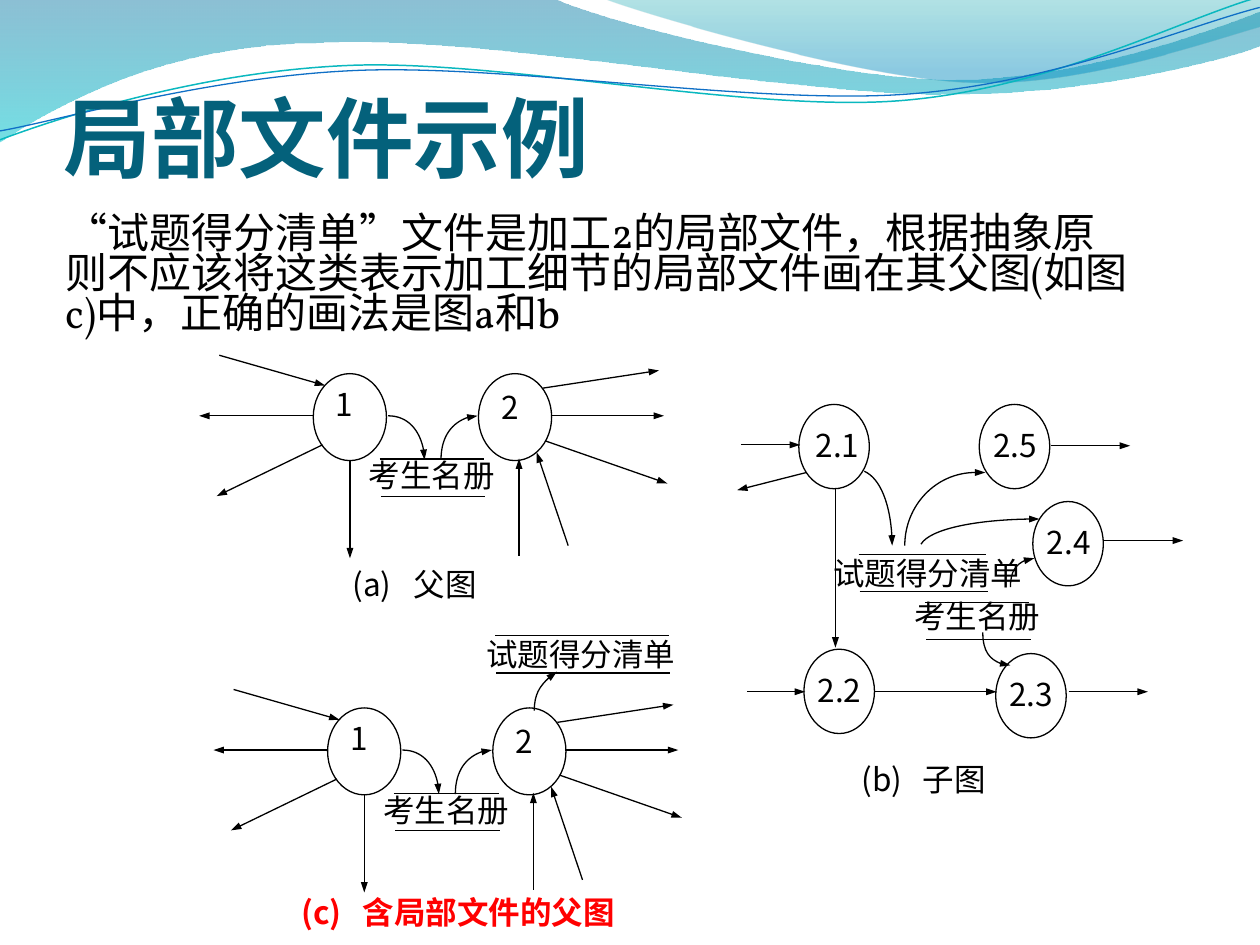
from math import cos, radians, sin

from lxml.etree import SubElement
from pptx import Presentation
from pptx.dml.color import RGBColor
from pptx.enum.shapes import MSO_CONNECTOR as Connector, MSO_SHAPE as Shape
from pptx.enum.text import MSO_ANCHOR as Anchor, PP_ALIGN as Align
from pptx.oxml.ns import qn
from pptx.util import Pt

SANS = "Noto Sans CJK SC"


def color(value):
    return RGBColor.from_string(value)


def assign(target, values):
    for name, value in values.items():
        setattr(target, name, value)


def cubics(points):
    """Split a chain into its start and groups of two handles and an end."""
    return [points[:1]] + [points[i:i + 3] for i in range(1, len(points), 3)]


def rotate(points, angle):
    """Turn points clockwise about the middle of their bounds."""
    xs, ys = zip(*points)
    cx, cy = (min(xs) + max(xs)) / 2, (min(ys) + max(ys)) / 2
    c, s = cos(radians(angle)), sin(radians(angle))
    return [(cx + (x - cx) * c - (y - cy) * s, cy + (x - cx) * s + (y - cy) * c)
            for x, y in points]


class Sketch:
    ink = "000000"
    weight = 0.75
    size = 18

    def __init__(self, slide):
        self.shapes = slide.shapes

    def stroke(self, shape, ink=None, weight=None, arrow=False):
        shape.line.color.rgb = color(ink or self.ink)
        shape.line.width = Pt(weight or self.weight)
        if arrow:
            SubElement(shape.line._get_or_add_ln(), qn("a:tailEnd"),
                       type="triangle", w="sm", len="med")

    def line(self, start, end, arrow=True):
        connector = self.shapes.add_connector(
            Connector.STRAIGHT, *(Pt(v) for v in (*start, *end)))
        self.stroke(connector, arrow=arrow)
        SubElement(connector._element.spPr, qn("a:effectLst"))

    def outline(self, pieces, close):
        """Pieces of one point are straight, pieces of three are cubic."""
        points = [(Pt(x), Pt(y)) for piece in pieces for x, y in piece]
        builder = self.shapes.build_freeform(*points[0], scale=1.0)
        builder.add_line_segments(points[1:], close=close)
        shape = builder.convert_to_shape()
        shape.shadow.inherit = False
        steps = iter(list(shape._element.iter(qn("a:lnTo"))))
        for piece in pieces[1:]:
            group = [next(steps) for _ in piece]
            if len(group) == 3:
                bend = group[0].makeelement(qn("a:cubicBezTo"))
                group[0].addprevious(bend)
                for step in group:
                    bend.append(step[0])
                    step.getparent().remove(step)
        return shape

    def curve(self, points, ink=None, weight=None, arrow=True, turn=0):
        shape = self.outline(cubics(rotate(points, -turn)), close=False)
        shape.rotation = turn
        shape.fill.background()
        self.stroke(shape, ink, weight, arrow)

    def band(self, pieces, stops):
        shape = self.outline(pieces, close=True)
        shape.line.fill.background()
        shape.fill.gradient()
        shape.fill.gradient_angle = 270
        for stop, (position, tint, opacity) in zip(shape.fill.gradient_stops, stops):
            stop.position = position
            stop.color.rgb = color(tint)
            tint_element = stop._gs.find(qn("a:srgbClr"))
            SubElement(tint_element, qn("a:alpha"), val=str(opacity * 1000))

    def text(self, spans, left, top, width, height, align=Align.LEFT, frame=None,
             spacing=None, tab=None, ink=None, **font):
        """Spans are (text, Latin font) pairs of a single paragraph."""
        box = self.shapes.add_textbox(Pt(left), Pt(top), Pt(width), Pt(height))
        assign(box.text_frame, {"word_wrap": True, **(frame or {})})
        para = box.text_frame.paragraphs[0]
        assign(para, {"alignment": align, "line_spacing": spacing})
        if tab:
            stops = SubElement(para._p.get_or_add_pPr(), qn("a:tabLst"))
            SubElement(stops, qn("a:tab"), pos=str(Pt(tab)), algn="l")
        for words, face in spans:
            span = para.add_run()
            span.text = words
            assign(span.font, {"size": Pt(self.size), "name": face, **font})
            span.font.color.rgb = color(ink or self.ink)
            SubElement(span._r.get_or_add_rPr(), qn("a:ea"), typeface=SANS)

    def process(self, name, left, top, width, height, dx, dy):
        circle = self.shapes.add_shape(
            Shape.OVAL, Pt(left), Pt(top), Pt(width), Pt(height))
        circle.shadow.inherit = False
        circle.fill.background()
        self.stroke(circle)
        self.text([(name, SANS)], left + dx, top + dy, 41.8, 42.5)

    def store(self, name, left, top, length, shift=0, rise=5):
        for x, y in ((left, top), (left + 0.7, top + 21.4)):
            self.line((x, y), (x + length, y), arrow=False)
        width = 18 * len(name) + 30
        self.text([(name, SANS)], left + (length - width) / 2 + shift, top - rise,
                  width, 39.6, Align.CENTER)

    def caption(self, mark, words, left, top, width, **font):
        self.text([(f"({mark})\t{words}", SANS)], left, top, width, 44.6, tab=35, **font)

    def parent(self, dx=0, dy=0):
        """Level diagram with processes 1 and 2 sharing one store."""
        def move(points):
            return [(x + dx, y + dy) for x, y in points]

        for name, left, drop in (("1", 179, 3), ("2", 273.4, 4.4)):
            self.process(name, left + dx, 213.5 + dy, 41.8, 49.7, 5.8, drop)
        for flow in PARENT_FLOWS:
            self.line(*move(flow))
        for flow in PARENT_CURVES:
            self.curve(move(flow))
        self.store("考生名册", 216.9 + dx, 262.3 + dy, 59.8)


PARENT_FLOWS = [
    ((200, 263.5), (200, 319)), ((179.3, 237.6), (113.8, 237.6)),
    ((125.3, 203), (185.8, 220.3)), ((184.3, 254.2), (123.8, 283.5)),
    ((296.6, 317.5), (296.6, 262)), ((324.7, 311.8), (306.7, 258.5)),
    ((314.6, 237.6), (379.4, 237.6)), ((310.3, 221.8), (376.6, 211.7)),
    ((311.8, 252), (381.4, 276.3)),
]
PARENT_CURVES = [
    [(221.8, 237.6), (233.3, 237.6), (242.6, 249.1), (242.6, 262.8)],
    [(252, 262.8), (252, 249.1), (261.4, 237.6), (272.9, 237.6)],
]
CHILD_PROCESSES = [
    ("2.1", 456.5, 231.1, 2.5), ("2.5", 559.6, 231.1, 1), ("2.4", 590.2, 286.6, 1),
    ("2.3", 569, 373.5, 0.7), ("2.2", 459.4, 371, 0.7),
]
CHILD_FLOWS = [
    ((423.4, 254.2), (457.2, 254.2)), ((460.8, 270), (421.2, 280.1)),
    ((477.4, 279.4), (477.4, 370.1)), ((600.5, 254.7), (645.8, 254.7)),
    ((630.7, 308.9), (676.1, 308.9)), ((427, 395.3), (460.1, 395.3)),
    ((499.7, 395.3), (569.5, 395.3)), ((610.6, 395.3), (655.9, 395.3)),
]
CHILD_CURVES = [
    [(493.9, 269.3), (503.3, 273.6), (509.8, 291.6), (509.8, 311.8)],
    [(517, 311.8), (517, 288.7), (535, 270), (557.3, 270), (559.4, 270),
     (560.9, 270), (563, 270)],
    [(526.3, 311), (531.4, 302.4), (559.4, 296.6), (592.6, 296.6), (593.3, 296.6),
     (594, 296.6), (594, 296.6)],
    [(577.4, 335.5), (577.4, 326.2), (583.2, 319), (591.1, 319)],
]

deck = Presentation()
assign(deck, {"slide_width": Pt(720), "slide_height": Pt(540)})
page = deck.slides.add_slide(deck.slide_layouts[6])
sketch = Sketch(page)

# Wave decoration along the top
upper = [(316.8, -0.7), (342.7, 12.2), (478.1, 45.4), (545.8, 45.4),
         (614.2, 45.4), (689.8, 18.7), (720, 6.5)]
lower = [(720.7, 25.9), (707.8, 31.7), (626.4, 54.7), (537.1, 54), (447.8, 54),
         (275, 20.2), (185, 24.5), (92.9, 25.2), (33.1, 59.8), (-0.7, 81.4)]
sketch.band([[(0, -0.7)]] + cubics(upper) + cubics(lower),
            [(0, "0074A1", 45), (1, "00C6CF", 55)])
corner = [(344.9, -0.7), (366.5, 7.9), (491, 44.6), (553.7, 46.8),
          (616.3, 49.7), (691.9, 23), (720, 15.1)]
sketch.band(cubics(corner) + [[(720, 0)]], [(0, "00A1A9", 30), (0.8, "008BBF", 45)])
sketch.curve([(0, 79.9), (34.6, 67), (113.8, 41), (199.4, 37.4), (284.4, 33.8),
              (427, 64.1), (513.4, 57.6), (599.8, 51.1), (675.4, 10.8), (718.6, -1.4)],
             "0AB8BF", 0.85, arrow=False, turn=357.3)
sketch.curve([(0, 74.9), (33.8, 69.1), (118.1, 43.9), (203.8, 40.3), (290.2, 36.7),
              (429.8, 59.8), (516.2, 54), (601.9, 48.2), (677.5, 15.1), (720, 4.3)],
             "0F6FC6", 0.75, arrow=False, turn=357.3)

# Title and explanation
sketch.text([("局部文件示例", SANS)], 36.4, 18, 648, 90, ink="04617B", size=Pt(50), bold=True,
            frame={"vertical_anchor": Anchor.BOTTOM, "margin_left": 0,
                   "margin_right": 0, "margin_bottom": 0})
sketch.text([("“", "Arial"), ("试题得分清单", "Vollkorn"), ("”", "Arial"),
             ("文件是加工2的局部文件，根据抽象原则不应该将这类表示加工细节的局部文件"
              "画在其父图(如图c)中，正确的画法是图a和b", "Vollkorn")],
            30.2, 120.2, 624.2, 77.8, spacing=Pt(23), size=Pt(24))

# (a) Parent diagram
sketch.parent()
sketch.caption("a", "父图", 194.4, 319.3, 112.3)

# (b) Child diagram
for name, left, top, dx in CHILD_PROCESSES:
    sketch.process(name, left, top, 40.3, 48.2, dx, 8.7)
for flow in CHILD_FLOWS:
    sketch.line(*flow)
for flow in CHILD_CURVES:
    sketch.curve(flow)
sketch.curve([(561.6, 361.4), (561.6, 372.5), (568.4, 380.2), (577.4, 380.2)], turn=270)
sketch.store("试题得分清单", 490.6, 316.8, 73.1, shift=3, rise=3.6)
sketch.store("考生名册", 528.5, 344.2, 59.8, rise=6.5)
sketch.caption("b", "子图", 485.3, 431, 112.3)

# (c) Parent diagram with the local store
sketch.parent(8.2, 191)
sketch.curve([(305.3, 406.1), (305.3, 396.7), (310.3, 388.8), (318.2, 383.8)])
sketch.store("试题得分清单", 283, 363.1, 99.2, shift=-0.7, rise=4)
sketch.caption("c", "含局部文件的父图", 165.2, 506.9, 254.9, ink="FF0000", bold=True)

deck.save("out.pptx")
